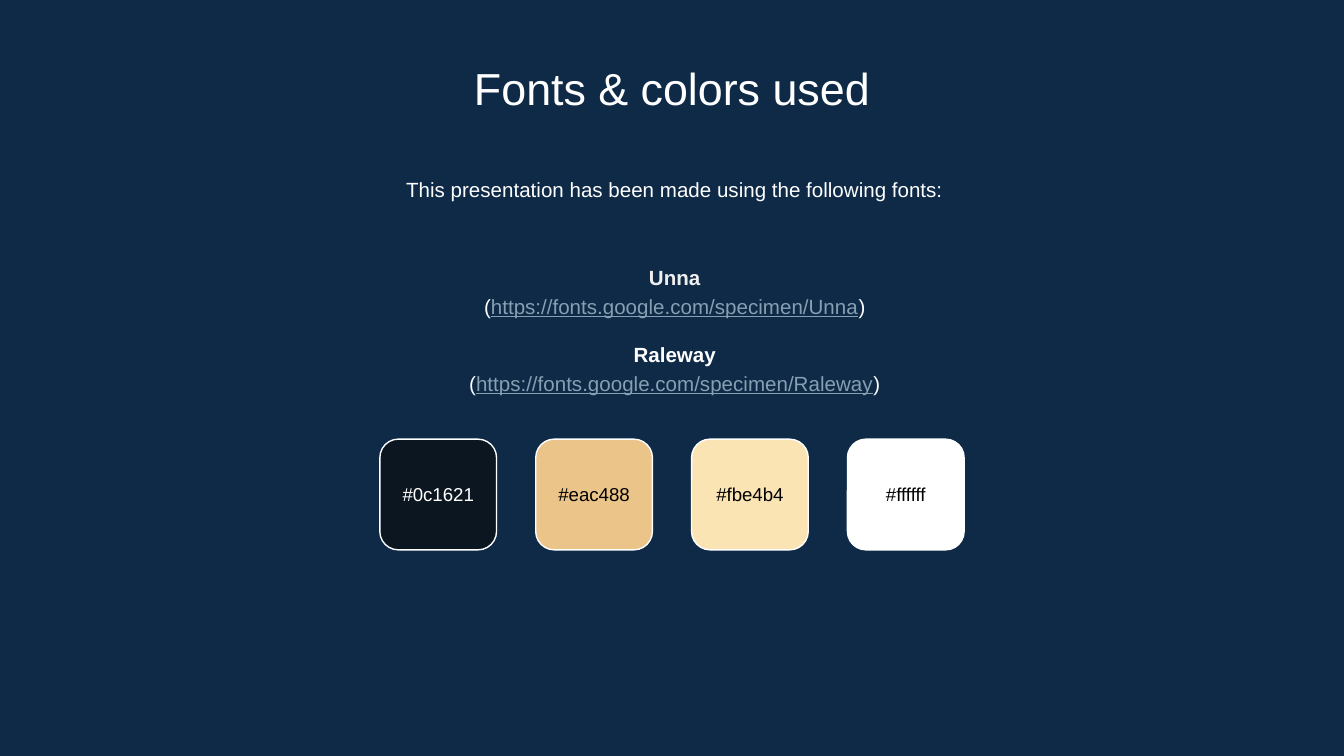
from dataclasses import dataclass

from pptx import Presentation
from pptx.dml.color import RGBColor
from pptx.enum import shapes, text
from pptx.oxml import xmlchemy
from pptx.util import Pt


@dataclass(frozen=True)
class Theme:
    font: str = "Arial"
    background: str = "0E2A47"
    white: str = "FFFFFF"
    black: str = "000000"
    soft_white: str = "EFEFEF"
    link: str = "869FB2"
    title_size: float = 24
    body_size: float = 11
    swatch_size: float = 10
    inset: float = 7.2
    line_spacing: float = 1.15
    group_gap: float = 11


THEME = Theme()
FONTS = [
    ("Unna", "https://fonts.google.com/specimen/Unna", THEME.soft_white),
    ("Raleway", "https://fonts.google.com/specimen/Raleway", THEME.white),
]
SWATCHES = [
    ("#0c1621", THEME.white),
    ("#eac488", THEME.black),
    ("#fbe4b4", THEME.black),
    ("#ffffff", THEME.black),
]


def color(value):
    return RGBColor.from_string(value.lstrip("#").upper())


def place(shape, box):
    shape.left, shape.top, shape.width, shape.height = map(Pt, box)


def prepare_frame(shape, anchor):
    frame = shape.text_frame
    frame.word_wrap = True
    frame.auto_size = text.MSO_AUTO_SIZE.NONE
    frame.vertical_anchor = anchor
    frame.margin_left = frame.margin_right = Pt(THEME.inset)
    frame.margin_top = frame.margin_bottom = Pt(THEME.inset)
    return frame


def format_paragraph(paragraph, spacing=1.0, before=0):
    paragraph.alignment = text.PP_ALIGN.CENTER
    paragraph.line_spacing = spacing
    paragraph.space_before = Pt(before)
    paragraph.space_after = Pt(0)


def add_run(paragraph, wording, size, fill, bold=False, underline=False):
    run = paragraph.add_run()
    run.text = wording
    run.font.name = THEME.font
    run.font.size = Pt(size)
    run.font.bold = bold
    run.font.underline = underline
    run.font.color.rgb = color(fill)


def remove_bullet(paragraph):
    properties = paragraph._p.get_or_add_pPr()
    properties.set("marL", "0")
    properties.set("indent", "0")
    properties.append(xmlchemy.OxmlElement("a:buNone"))


def add_title(slide, box):
    title = slide.shapes.title
    place(title, box)
    paragraph = prepare_frame(title, text.MSO_ANCHOR.TOP).paragraphs[0]
    format_paragraph(paragraph)
    add_run(paragraph, "Fonts & colors used", THEME.title_size, THEME.white)


def add_introduction(slide, box):
    introduction = slide.shapes.add_textbox(*map(Pt, box))
    paragraph = prepare_frame(introduction, text.MSO_ANCHOR.TOP).paragraphs[0]
    format_paragraph(paragraph, THEME.line_spacing)
    add_run(paragraph, "This presentation has been made using the following fonts:",
            THEME.body_size, THEME.white)


def add_font_list(slide, box):
    body = slide.placeholders[1]
    place(body, box)
    frame = prepare_frame(body, text.MSO_ANCHOR.MIDDLE)
    for index, (name, address, name_color) in enumerate(FONTS):
        heading = frame.add_paragraph() if index else frame.paragraphs[0]
        reference = frame.add_paragraph()
        for paragraph in (heading, reference):
            remove_bullet(paragraph)
        format_paragraph(heading, THEME.line_spacing, THEME.group_gap if index else 0)
        format_paragraph(reference, THEME.line_spacing)
        add_run(heading, name, THEME.body_size, name_color, bold=True)
        add_run(reference, "(", THEME.body_size, THEME.white)
        add_run(reference, address, THEME.body_size, THEME.link, underline=True)
        add_run(reference, ")", THEME.body_size, THEME.white)


def add_swatches(slide, box, gap):
    left, top, width, height = box
    swatch_width = (width - gap * (len(SWATCHES) - 1)) / len(SWATCHES)
    for index, (code, text_color) in enumerate(SWATCHES):
        swatch = slide.shapes.add_shape(
            shapes.MSO_SHAPE.ROUNDED_RECTANGLE,
            Pt(left + index * (swatch_width + gap)), Pt(top),
            Pt(swatch_width), Pt(height))
        swatch.shadow.inherit = False
        swatch.fill.solid()
        swatch.fill.fore_color.rgb = color(code)
        swatch.line.color.rgb = color(THEME.white)
        swatch.line.width = Pt(0.75)
        paragraph = prepare_frame(swatch, text.MSO_ANCHOR.MIDDLE).paragraphs[0]
        format_paragraph(paragraph)
        add_run(paragraph, code, THEME.swatch_size, text_color)


def main():
    presentation = Presentation()
    presentation.slide_width, presentation.slide_height = Pt(720), Pt(405)
    slide = presentation.slides.add_slide(presentation.slide_layouts[1])
    slide.background.fill.solid()
    slide.background.fill.fore_color.rgb = color(THEME.background)
    add_title(slide, (82.5, 25.2, 555, 38))
    add_introduction(slide, (84, 85.7, 555, 34.6))
    add_font_list(slide, (84, 126.7, 555, 98.6))
    add_swatches(slide, (203.5, 235.3, 313, 59.3), 21)
    presentation.save("out.pptx")


if __name__ == "__main__":
    main()
